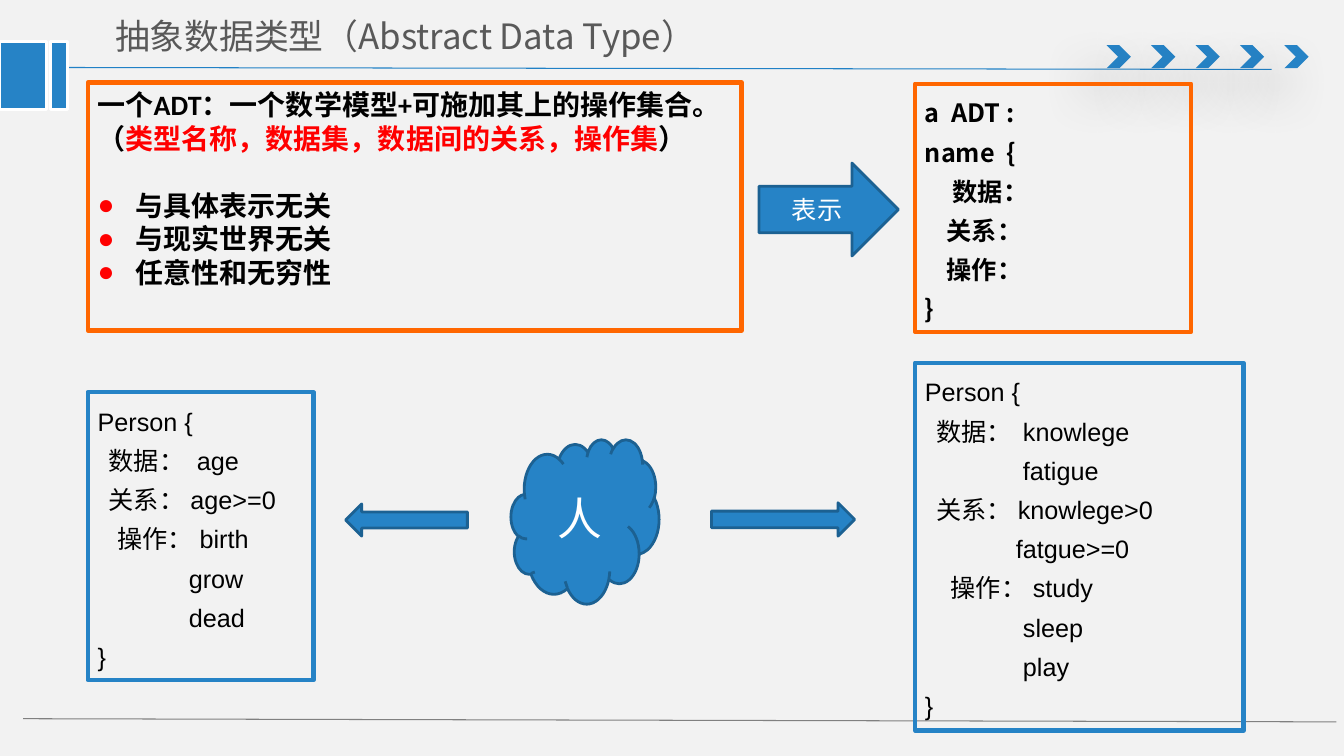
from dataclasses import dataclass

from lxml.etree import SubElement
from pptx import Presentation
from pptx.dml.color import RGBColor
from pptx.enum.shapes import MSO_CONNECTOR, MSO_SHAPE as Preset
from pptx.enum.text import MSO_ANCHOR as Anchor, PP_ALIGN as Align
from pptx.oxml.ns import qn
from pptx.util import Cm, Pt


@dataclass(frozen=True)
class Theme:
    back: str = "F2F2F2"
    blue: str = "2683C6"
    edge: str = "1C6192"
    rule: str = "2181C6"
    orange: str = "FF6600"
    red: str = "FF0000"
    grey: str = "808080"
    heading: str = "595959"
    black: str = "000000"
    white: str = "FFFFFF"
    sans: str = "Noto Sans CJK SC"
    latin: str = "Arial"
    body: str = "Calibri"
    title_size: float = 24.9
    idea_size: int = 20
    code_size: int = 18
    cloud_size: int = 32
    idea_pitch: int = 24
    code_pitch: int = 28


THEME = Theme()


def rgb(value):
    return RGBColor.from_string(value)


def apply(target, values):
    for name, value in values.items():
        setattr(target, name, value)


def add_shape(page, preset, place, fill=None, line=None, width=2):
    shape = page.shapes.add_shape(preset, *map(Cm, place))
    shape.shadow.inherit = False
    if fill:
        shape.fill.solid()
        shape.fill.fore_color.rgb = rgb(fill)
    else:
        shape.fill.background()
    if line:
        shape.line.color.rgb = rgb(line)
        shape.line.width = Pt(width)
    else:
        shape.line.fill.background()
    return shape


def add_rule(page, start, end, color):
    rule = page.shapes.add_connector(MSO_CONNECTOR.STRAIGHT, *map(Cm, start + end))
    rule.line.color.rgb = rgb(color)
    rule.line.width = Pt(0.75)
    SubElement(rule._element.spPr, qn("a:effectLst"))


def add_span(para, text, face, size, color, bold=False):
    span = para.add_run()
    span.text = text
    apply(span.font, {"name": face, "size": Pt(size), "bold": bold})
    span.font.color.rgb = rgb(color)
    SubElement(span._r.get_or_add_rPr(), qn("a:ea"), typeface=THEME.sans)


def next_para(frame, first, pitch):
    para = frame.paragraphs[0] if first else frame.add_paragraph()
    apply(para, {"alignment": Align.LEFT, "line_spacing": Pt(pitch)})
    return para


def add_label(shape, text, size):
    frame = shape.text_frame
    apply(frame, {"word_wrap": True, "vertical_anchor": Anchor.MIDDLE})
    para = frame.paragraphs[0]
    para.alignment = Align.CENTER
    add_span(para, text, THEME.sans, size, THEME.white)


def add_title(page, text):
    frame = page.shapes.add_textbox(Cm(2.54), Cm(0.2), Cm(16.97), Cm(1.4)).text_frame
    apply(frame, {"word_wrap": True, "vertical_anchor": Anchor.MIDDLE,
                  "margin_left": Cm(0.36), "margin_right": Cm(0.36),
                  "margin_top": Cm(0.18), "margin_bottom": Cm(0.18)})
    add_span(frame.paragraphs[0], text, THEME.sans, THEME.title_size, THEME.heading)


def add_bullet(para):
    props = para._p.get_or_add_pPr()
    props.set("marL", str(Cm(0.95)))
    props.set("indent", str(-Cm(0.95)))
    color = SubElement(props, qn("a:buClr"))
    SubElement(color, qn("a:srgbClr"), val=THEME.red)
    SubElement(props, qn("a:buFont"), typeface=THEME.latin)
    SubElement(props, qn("a:buChar"), char="●")


def add_idea_box(page, place, lines, bullets):
    """Each line is a list of (text, colour) spans; bullets follow after a gap."""
    box = add_shape(page, Preset.RECTANGLE, place, line=THEME.orange, width=3)
    frame = box.text_frame
    apply(frame, {"word_wrap": True, "vertical_anchor": Anchor.TOP, "margin_right": 0})
    style = THEME.body, THEME.idea_size
    for number, line in enumerate(lines):
        para = next_para(frame, number == 0, THEME.idea_pitch)
        for text, color in line:
            add_span(para, text, *style, color, bold=True)
    for number, text in enumerate(bullets):
        para = next_para(frame, False, THEME.idea_pitch)
        add_bullet(para)
        if number == 0:
            para.space_before = Pt(THEME.idea_pitch)
        add_span(para, text, *style, THEME.black, bold=True)


def add_code_box(page, place, lines, color, face, bold=False):
    """Each line is its text, then one tab stop in cm for each tab in it."""
    box = add_shape(page, Preset.RECTANGLE, place, line=color, width=3)
    frame = box.text_frame
    apply(frame, {"word_wrap": True, "vertical_anchor": Anchor.TOP})
    for number, (text, *stops) in enumerate(lines):
        para = next_para(frame, number == 0, THEME.code_pitch)
        if stops:
            tabs = SubElement(para._p.get_or_add_pPr(), qn("a:tabLst"))
            for stop in stops:
                SubElement(tabs, qn("a:tab"), pos=str(Cm(stop)), algn="l")
        add_span(para, text, face, THEME.code_size, THEME.black, bold)


def add_chevron(page, left):
    chevron = add_shape(page, Preset.CHEVRON, (left, 1.14, 0.61, 0.58), THEME.blue)
    effects = chevron._element.spPr.find(qn("a:effectLst"))
    shadow = SubElement(effects, qn("a:outerShdw"), blurRad=str(Pt(36)),
                        dist=str(Pt(24)), dir=str(130 * 60000), rotWithShape="0")
    color = SubElement(shadow, qn("a:srgbClr"), val=THEME.black)
    SubElement(color, qn("a:alpha"), val="38000")


def add_frame(page):
    page.background.fill.solid()
    page.background.fill.fore_color.rgb = rgb(THEME.back)
    add_rule(page, (1.35, 1.7), (32.05, 1.75), THEME.rule)
    for number in range(5):
        add_chevron(page, 27.89 + 1.12 * number)
    add_rule(page, (0.58, 18.11), (33.68, 18.19), THEME.grey)
    for left, width in ((0, 1.17), (1.27, 0.43)):
        add_shape(page, Preset.RECTANGLE, (left, 1.04, width, 1.73),
                  THEME.blue, THEME.white)


def main():
    deck = Presentation()
    apply(deck, {"slide_width": Cm(33.87), "slide_height": Cm(19.05)})
    page = deck.slides.add_slide(deck.slide_layouts[6])
    add_frame(page)
    add_title(page, "抽象数据类型（Abstract Data Type）")
    add_idea_box(page, (2.21, 2.08, 16.48, 6.25), [
        [("一个ADT：一个数学模型+可施加其上的操作集合。", THEME.black)],
        [("（", THEME.black),
         ("类型名称，数据集，数据间的关系，操作集", THEME.red),
         ("）", THEME.black)],
    ], ["与具体表示无关", "与现实世界无关", "任意性和无穷性"])
    add_code_box(page, (23.06, 2.11, 6.96, 6.25), [
        ("a  ADT :",), ("name  {",), ("\t数据：", 0.7), ("\t关系：", 0.55),
        ("\t操作：", 0.55), ("}",),
    ], THEME.orange, THEME.sans, bold=True)
    add_code_box(page, (2.21, 9.88, 5.69, 7.26), [
        ("Person {",), ("\t数据：\tage", 0.28, 2.5), ("\t关系：\tage>=0", 0.28, 2.34),
        ("\t操作：\tbirth", 0.5, 2.57), ("\tgrow", 2.3), ("\tdead", 2.3), ("}",),
    ], THEME.blue, THEME.latin)
    add_code_box(page, (23.06, 9.14, 8.28, 9.27), [
        ("Person {",), ("\t数据：\tknowlege", 0.28, 2.47), ("\tfatigue", 2.47),
        ("\t关系：\tknowlege>0", 0.28, 2.34), ("\tfatgue>=0", 2.29),
        ("\t操作：\tstudy", 0.65, 2.72), ("\tsleep", 2.47), ("\tplay", 2.47), ("}",),
    ], THEME.blue, THEME.latin)
    for preset, place, text, size in (
        (Preset.RIGHT_ARROW, (19.13, 4.11, 3.51, 2.34), "表示", THEME.code_size),
        (Preset.CLOUD, (12.88, 11.07, 3.73, 4.14), "人", THEME.cloud_size),
        (Preset.LEFT_ARROW, (8.71, 12.7, 3.07, 0.81), None, None),
        (Preset.RIGHT_ARROW, (17.93, 12.67, 3.61, 0.84), None, None),
    ):
        shape = add_shape(page, preset, place, THEME.blue, THEME.edge)
        if text:
            add_label(shape, text, size)
    deck.save("out.pptx")


if __name__ == "__main__":
    main()
